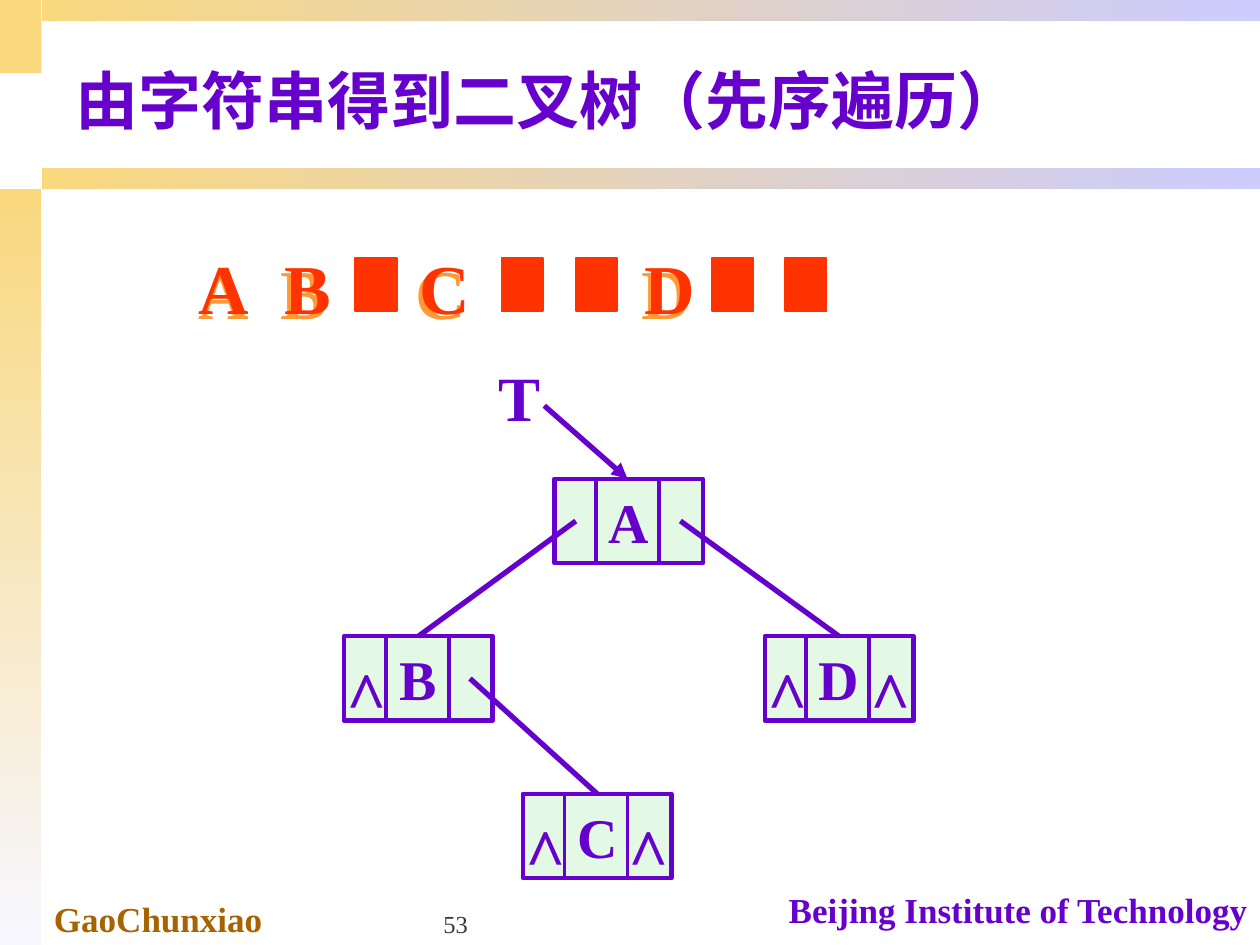
"""Build a slide that turns a preorder string into a binary tree."""
from dataclasses import dataclass
from typing import Optional

from lxml.etree import SubElement as Sub
from pptx import Presentation
from pptx.dml.color import RGBColor as Rgb
from pptx.enum.shapes import MSO_CONNECTOR as Link, MSO_SHAPE as Form
from pptx.enum.text import MSO_ANCHOR as Anchor, PP_ALIGN as Align
from pptx.oxml.ns import qn
from pptx.util import Inches, Pt


@dataclass(frozen=True)
class Theme:
    """Colours, font and type sizes."""
    font: str = "Times New Roman"
    gold: str = "F9D87E"
    pale: str = "F7F7FF"
    lilac: str = "CCCCFF"
    brown: str = "A66300"
    gray: str = "393939"
    ink: str = "6600CC"
    red: str = "FF3300"
    orange: str = "FF9933"
    mint: str = "CAF2CE"
    big: int = 40
    head: int = 36
    label: int = 32
    foot: int = 20
    page: int = 14


@dataclass(frozen=True)
class Box:
    """A place on the grid of 100 columns and 75 rows."""
    col: float
    row: float
    wide: float
    high: float


@dataclass(frozen=True)
class Node:
    """A tree node with its column, level and children."""
    name: str
    col: float
    level: int
    left: Optional[str] = None
    right: Optional[str] = None

    @property
    def row(self) -> float:
        """Return the top row of the node."""
        return 38 + 12.5 * self.level


LOOK = Theme()
CELL = 0.1
WIDE, HIGH = 11.8, 6.7
BARS = (
    (Box(0, 0, 3.3, 5.8), LOOK.gold, 0),
    (Box(0, 15, 3.3, 60), LOOK.pale, 270),
    (Box(3.3, 13.3, 96.7, 1.7), LOOK.lilac, 0),
    (Box(3.3, 0, 96.7, 1.7), LOOK.lilac, 0),
)
MARKS = (("A", 14.8), ("B", 21.6), ("C", 32.3), ("D", 50.2))
STOPS = (6.5, 17.2, 35.1)
BLANKS = (28.2, 39.8, 45.7, 56.5, 62.3)
NODES = (
    Node("A", 44, 0, "B", "D"),
    Node("B", 27.3, 1, None, "C"),
    Node("C", 41.5, 2),
    Node("D", 60.7, 1),
)


def cells(*counts: float) -> list:
    """Turn grid counts into lengths."""
    return [Inches(count * CELL) for count in counts]


def place(box: Box) -> list:
    """Return left, top, width and height of a box."""
    return cells(box.col, box.row, box.wide, box.high)


def style(para, size: int, tint: str, bold: bool = True) -> None:
    """Format the runs of a paragraph."""
    for run in para.runs:
        font = run.font
        font.name, font.size, font.bold = LOOK.font, Pt(size), bold
        font.color.rgb = Rgb.from_string(tint)


def write(slide, text: str, box: Box, size: int, tint: str,
          wrap: bool = False, bold: bool = True, align=Align.LEFT,
          anchor=Anchor.TOP):
    """Add a text box and return its paragraph."""
    frame = slide.shapes.add_textbox(*place(box)).text_frame
    frame.text, frame.word_wrap = text, wrap
    frame.vertical_anchor = anchor
    para = frame.paragraphs[0]
    para.alignment = align
    style(para, size, tint, bold)
    return para


def block(slide, box: Box, tint: str):
    """Add a plain filled rectangle."""
    shape = slide.shapes.add_shape(Form.RECTANGLE, *place(box))
    shape.shadow.inherit = False
    shape.fill.solid()
    shape.fill.fore_color.rgb = Rgb.from_string(tint)
    shape.line.fill.background()
    return shape


def edge(shape, tint: str, width: float) -> None:
    """Set the line of a shape."""
    shape.line.color.rgb = Rgb.from_string(tint)
    shape.line.width = Pt(width)


def bar(slide, box: Box, tint: str, angle: int) -> None:
    """Add a bar that fades from gold to a tint."""
    shape = block(slide, box, LOOK.gold)
    if tint != LOOK.gold:
        shape.fill.gradient()
        shape.fill.gradient_angle = angle
        for stop, hue in zip(shape.fill.gradient_stops, (LOOK.gold, tint)):
            stop.color.rgb = Rgb.from_string(hue)


def stroke(slide, start: tuple, end: tuple, width: float = 3,
           arrow: bool = False) -> None:
    """Add a straight line, with an arrowhead if asked."""
    line = slide.shapes.add_connector(
        Link.STRAIGHT, *cells(*start, *end))
    edge(line, LOOK.ink, width)
    if arrow:
        Sub(line.line._get_or_add_ln(), qn("a:tailEnd"), type="triangle")
    Sub(line._element.spPr, qn("a:effectLst"))


def draw(slide, node: Node) -> None:
    """Draw a node with its three fields."""
    shape = block(slide, Box(node.col, node.row, WIDE, HIGH), LOOK.mint)
    edge(shape, LOOK.ink, 2.5)
    hue = next(shape._element.spPr.iter(qn("a:srgbClr")))
    Sub(hue, qn("a:alpha"), val="50000")
    frame = shape.text_frame
    frame.text, frame.vertical_anchor = node.name, Anchor.MIDDLE
    frame.paragraphs[0].alignment = Align.CENTER
    style(frame.paragraphs[0], LOOK.label, LOOK.ink)
    for gap in (3.3, 8.3):
        col = node.col + gap
        stroke(slide, (col, node.row), (col, node.row + HIGH), 2.25)


def join(slide, node: Node, tree: dict) -> None:
    """Draw links to children and marks for empty fields."""
    for name, hub, gap in ((node.left, 1.7, -0.8), (node.right, 10, 7.4)):
        if name:
            child = tree[name]
            stroke(slide, (node.col + hub, node.row + HIGH / 2),
                   (child.col + WIDE / 2, child.row))
        else:
            box = Box(node.col + gap, node.row + 0.7, 5.2, 7.7)
            write(slide, "^", box, LOOK.big, LOOK.ink)


def string(slide) -> None:
    """Draw the string with its offset letters and blanks."""
    text = "\t".join(name for name, col in MARKS)
    para = write(slide, text, Box(14.8, 18, 66.7, 9), LOOK.big,
                 LOOK.orange, wrap=True)
    tabs = Sub(para._p.get_or_add_pPr(), qn("a:tabLst"))
    for stop in cells(*STOPS):
        Sub(tabs, qn("a:tab"), pos=str(stop), algn="l")
    para.line_spacing = 1.2
    for col in BLANKS:
        edge(block(slide, Box(col, 20.5, 3.3, 4.2), LOOK.red), LOOK.red, 1)
    for name, col in MARKS:
        write(slide, name, Box(col, 18.9, 6, 7.7), LOOK.big, LOOK.red)


def main() -> None:
    """Build and save the slide."""
    deck = Presentation()
    deck.slide_width, deck.slide_height = cells(100, 75)
    slide = deck.slides.add_slide(deck.slide_layouts[5])
    for box, tint, angle in BARS:
        bar(slide, box, tint, angle)
    title = slide.shapes.title
    title.left, title.top, title.width, title.height = place(
        Box(5, 2.5, 95, 10.7))
    title.text_frame.text = "由字符串得到二叉树（先序遍历）"
    title.text_frame.vertical_anchor = Anchor.MIDDLE
    title.text_frame.paragraphs[0].alignment = Align.LEFT
    style(title.text_frame.paragraphs[0], LOOK.head, LOOK.ink)
    write(slide, "GaoChunxiao", Box(3.3, 70.7, 35, 4.4), LOOK.foot,
          LOOK.brown, wrap=True)
    write(slide, "Beijing Institute of Technology", Box(60.8, 70, 39.2, 4.3),
          LOOK.foot, LOOK.ink, wrap=True, align=Align.RIGHT)
    write(slide, "53", Box(34.2, 70, 20.8, 5), LOOK.page, LOOK.gray,
          wrap=True, bold=False, anchor=Anchor.BOTTOM)
    string(slide)
    write(slide, "T", Box(38.6, 28, 5.3, 7), LOOK.head, LOOK.ink)
    stroke(slide, (43.2, 32.2), (49.8, 38), arrow=True)
    tree = {node.name: node for node in NODES}
    for node in NODES:
        draw(slide, node)
    for node in NODES:
        join(slide, node, tree)
    deck.save("out.pptx")


if __name__ == "__main__":
    main()
